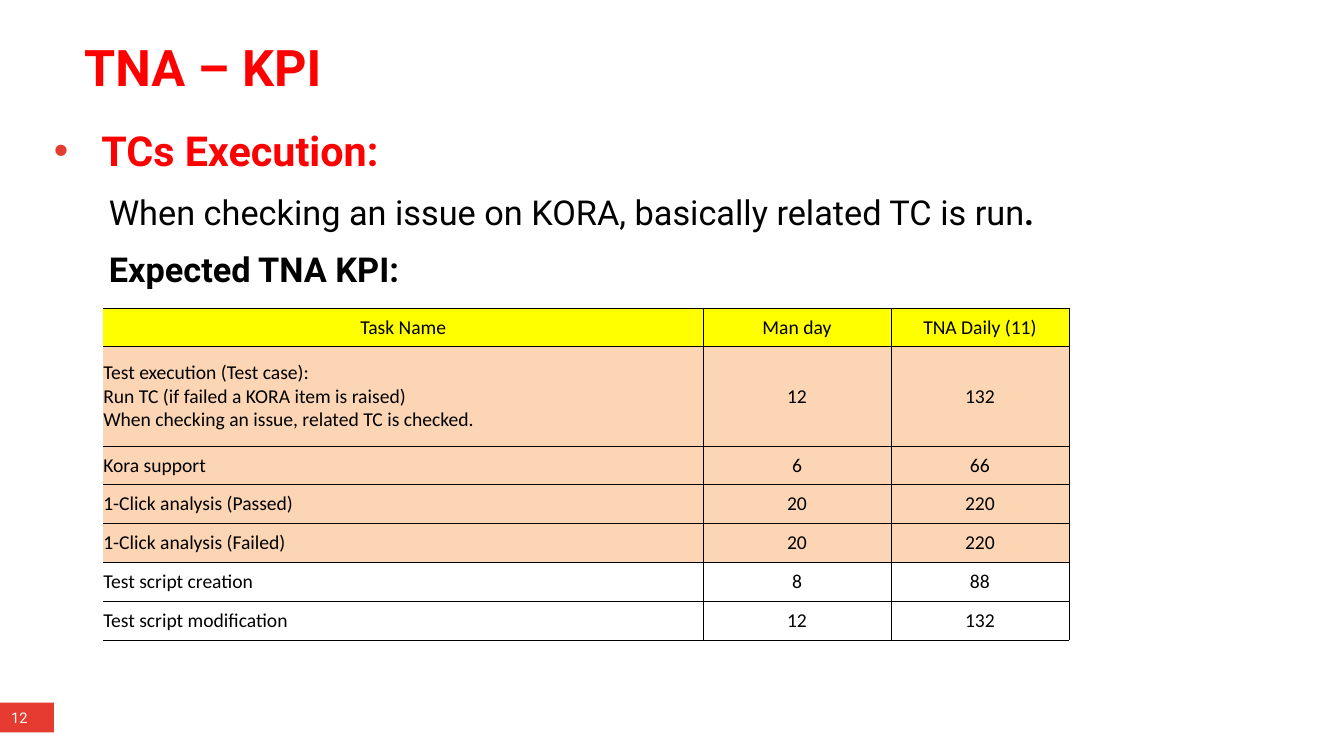
from lxml import etree
from pptx import Presentation
from pptx import util as u
from pptx.dml.color import RGBColor
from pptx.enum import shapes, text
from pptx.oxml import ns

RED, ACCENT, BLACK, WHITE = "FF0000", "E53B30", "000000", "FFFFFF"
YELLOW, PEACH = "FFFF00", "FCD5B4"

TITLE = "TNA – KPI"
PAGE_NUMBER = "12"
# runs as (text, bold), size, colour, line spacing, left indent
BODY = [
    ([("TCs Execution:", True)], 59, RED, 60, 0.94),
    ([("When checking an issue on KORA, basically related TC is run", False), (".", True)],
     49, BLACK, 50, 1.09),
    ([("Expected TNA KPI:", True)], 49, BLACK, 50, 1.09),
]
COLUMN_WIDTHS = [11.9, 3.73, 3.53]
ROW_HEIGHT, TALL_ROW_HEIGHT = 0.77, 1.97
# cell texts, fill
ROWS = [
    (("Task Name", "Man day", "TNA Daily (11)"), YELLOW),
    (("Test execution (Test case):\vRun TC (if failed a KORA item is raised)\v"
      "When checking an issue, related TC is checked.", "12", "132"), PEACH),
    (("Kora support", "6", "66"), PEACH),
    (("1-Click analysis (Passed)", "20", "220"), PEACH),
    (("1-Click analysis (Failed)", "20", "220"), PEACH),
    (("Test script creation", "8", "88"), WHITE),
    (("Test script modification", "12", "132"), WHITE),
]


def rgb(value):
    return RGBColor.from_string(value)


def format_run(run, size, color, name="Roboto", bold=False):
    run.font.size = u.Pt(size)
    run.font.name = name
    run.font.bold = bold
    run.font.color.rgb = rgb(color)


def set_margins(target, left=0, bottom=0):
    target.margin_left, target.margin_bottom = u.Inches(left), u.Inches(bottom)
    target.margin_right = target.margin_top = 0


def add_text_frame(slide, left, top, width, height):
    box = slide.shapes.add_textbox(*map(u.Inches, (left, top, width, height)))
    box.text_frame.word_wrap = True
    set_margins(box.text_frame)
    return box.text_frame


def add_bullet(properties, color):
    bullet_color = etree.SubElement(properties, ns.qn("a:buClr"))
    etree.SubElement(bullet_color, ns.qn("a:srgbClr"), val=color)
    etree.SubElement(properties, ns.qn("a:buFont"), typeface="Arial")
    etree.SubElement(properties, ns.qn("a:buChar"), char="•")


def set_borders(cell, open_left):
    """Rule every side in black; the first column has no left edge."""
    properties = cell._tc.get_or_add_tcPr()
    for side in "LRTB":
        line = etree.SubElement(properties, ns.qn("a:ln" + side), w=str(u.Pt(1)))
        if side == "L" and open_left:
            etree.SubElement(line, ns.qn("a:noFill"))
        else:
            fill = etree.SubElement(line, ns.qn("a:solidFill"))
            etree.SubElement(fill, ns.qn("a:srgbClr"), val=BLACK)


def add_page_number(slide):
    badge = slide.shapes.add_shape(shapes.MSO_SHAPE.RECTANGLE, 0, u.Inches(13.94),
                                   u.Inches(1.07), u.Inches(0.59))
    badge.shadow.inherit = False
    badge.fill.solid()
    badge.fill.fore_color.rgb = rgb(ACCENT)
    badge.line.fill.background()
    frame = badge.text_frame
    frame.text = PAGE_NUMBER
    frame.word_wrap = False
    frame.vertical_anchor = text.MSO_ANCHOR.MIDDLE
    set_margins(frame, left=0.22, bottom=0.01)
    frame.paragraphs[0].alignment = text.PP_ALIGN.LEFT
    format_run(frame.paragraphs[0].runs[0], 21, WHITE)


def add_title(slide):
    paragraph = add_text_frame(slide, 1.67, 0.8, 24.48, 1.37).paragraphs[0]
    paragraph.text = TITLE
    paragraph.line_spacing = u.Pt(80)
    format_run(paragraph.runs[0], 72, RED, bold=True)


def add_body(slide):
    frame = add_text_frame(slide, 1.07, 2.63, 24.5, 9.46)
    for index, (runs, size, color, spacing, indent) in enumerate(BODY):
        paragraph = frame.add_paragraph() if index else frame.paragraphs[0]
        paragraph.line_spacing = u.Pt(spacing)
        paragraph.space_after = u.Pt(32)
        properties = paragraph._p.get_or_add_pPr()
        properties.set("marL", str(u.Inches(indent)))
        properties.set("indent", str(0 if index else -u.Inches(indent)))
        if index == 0:
            add_bullet(properties, ACCENT)
        for words, bold in runs:
            run = paragraph.add_run()
            run.text = words
            format_run(run, size, color, bold=bold)


def add_kpi_table(slide):
    heights = [TALL_ROW_HEIGHT if "\v" in cells[0] else ROW_HEIGHT for cells, _ in ROWS]
    table = slide.shapes.add_table(
        len(ROWS), len(COLUMN_WIDTHS), u.Inches(2.05), u.Inches(6.11),
        u.Inches(sum(COLUMN_WIDTHS)), u.Inches(sum(heights))).table
    table.first_row = table.horz_banding = False
    for column, width in zip(table.columns, COLUMN_WIDTHS):
        column.width = u.Inches(width)
    for r, (cells, fill) in enumerate(ROWS):
        table.rows[r].height = u.Inches(heights[r])
        for c, words in enumerate(cells):
            cell = table.cell(r, c)
            set_borders(cell, open_left=c == 0)
            cell.fill.solid()
            cell.fill.fore_color.rgb = rgb(fill)
            set_margins(cell)
            cell.vertical_anchor = text.MSO_ANCHOR.MIDDLE
            paragraph = cell.text_frame.paragraphs[0]
            paragraph.text = words
            centred = r == 0 or c > 0
            paragraph.alignment = text.PP_ALIGN.CENTER if centred else text.PP_ALIGN.LEFT
            for run in paragraph.runs:
                format_run(run, 28, BLACK, "Calibri")


def main():
    presentation = Presentation()
    presentation.slide_width, presentation.slide_height = u.Inches(26.67), u.Inches(15)
    slide = presentation.slides.add_slide(presentation.slide_layouts[6])
    add_page_number(slide)
    add_title(slide)
    add_body(slide)
    add_kpi_table(slide)
    presentation.save("out.pptx")


if __name__ == "__main__":
    main()
